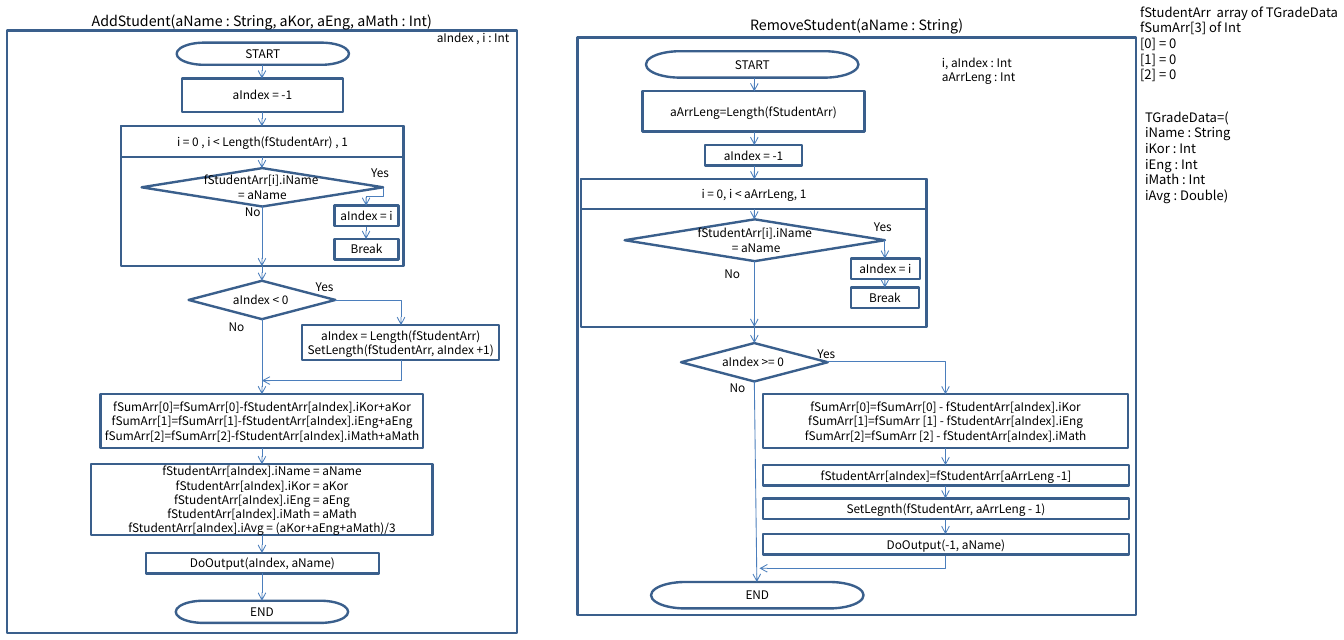
import pptx
import pptx.util
import pptx.dml.color
import pptx.enum.shapes
import pptx.enum.text
import pptx.oxml
import pptx.oxml.ns

Inches = pptx.util.Inches
Preset = pptx.enum.shapes.MSO_SHAPE
COLORS = {"outline": "3A5F8C", "arrow": "4B7EBC", "text": "000000"}
FONT = "Noto Sans CJK KR"
ADD_AXIS = 3.07
REMOVE_AXIS = 8.84
UPDATE_AXIS = 11.08


def color(name):
    """Return a named colour as RGBColor."""
    return pptx.dml.color.RGBColor.from_string(COLORS[name])


def write(shape, text, size, centred, margins=(0, 0)):
    """Fill a shape with one paragraph per line of text."""
    frame = shape.text_frame
    frame.margin_left = frame.margin_right = Inches(margins[0])
    frame.margin_top = frame.margin_bottom = Inches(margins[1])
    frame.word_wrap = True
    frame.text = text
    alignment = pptx.enum.text.PP_ALIGN
    for paragraph in frame.paragraphs:
        paragraph.alignment = alignment.CENTER if centred else alignment.LEFT
        paragraph.font.name = FONT
        paragraph.font.size = pptx.util.Pt(size)
        paragraph.font.color.rgb = color("text")
    if centred:
        frame.vertical_anchor = pptx.enum.text.MSO_ANCHOR.MIDDLE


def add_node(slide, box, text="", preset=Preset.RECTANGLE):
    """Add an outlined flowchart node with centred text."""
    shape = slide.shapes.add_shape(preset, *map(Inches, box))
    shape.shadow.inherit = False
    shape.fill.background()
    shape.line.color.rgb = color("outline")
    shape.line.width = pptx.util.Pt(2)
    if text:
        write(shape, text, 10, True)


def add_text(slide, box, text, size=10, centred=False, margins=(0, 0)):
    """Add a plain text box."""
    shape = slide.shapes.add_textbox(*map(Inches, box))
    write(shape, text, size, centred, margins)


def add_arrow(slide, start, end):
    """Add a thin connector with an open arrowhead at its end."""
    connector = slide.shapes.add_connector(
        pptx.enum.shapes.MSO_CONNECTOR.STRAIGHT, *map(Inches, start + end))
    connector.line.color.rgb = color("arrow")
    connector.line.width = pptx.util.Pt(0.75)
    qn = pptx.oxml.ns.qn
    properties = connector._element.spPr
    line = properties.find(qn("a:ln"))
    line.append(line.makeelement(qn("a:tailEnd"), {"type": "arrow"}))
    properties.append(properties.makeelement(qn("a:effectLst"), {}))
    return connector


def add_elbow(slide, start, end, preset="bentConnector2", downward=False):
    """Add a bent arrow going right first, or down first and then left."""
    if downward:
        middle_x, middle_y = (start[0] + end[0]) / 2, (start[1] + end[1]) / 2
        half_x, half_y = (end[1] - start[1]) / 2, (start[0] - end[0]) / 2
        start = (middle_x - half_x, middle_y - half_y)
        end = (middle_x + half_x, middle_y + half_y)
    properties = add_arrow(slide, start, end)._element.spPr
    properties.find(pptx.oxml.ns.qn("a:prstGeom")).set("prst", preset)
    if downward:
        properties.find(pptx.oxml.ns.qn("a:xfrm")).set("rot", "5400000")


def add_loop(slide, box, header_height, text):
    """Add a loop frame with its header row."""
    left, top, width, _ = box
    add_node(slide, box)
    add_node(slide, (left, top, width, header_height), text)


def add_chain(slide, axis, spans):
    """Add vertical arrows along one axis."""
    for top, bottom in spans:
        add_arrow(slide, (axis, top), (axis, bottom))


def add_labels(slide, labels):
    """Add small branch labels."""
    for left, top, text in labels:
        add_text(slide, (left, top, 0.3, 0.17), text)


def draw_add_student(slide):
    """Draw the AddStudent flowchart."""
    add_node(slide, (0.08, 0.36, 5.98, 7.06))
    add_text(slide, (0.08, 0.13, 5.98, 0.22),
             "AddStudent(aName : String, aKor, aEng, aMath : Int)", 12, True)
    add_text(slide, (5.12, 0.36, 0.94, 0.17), "aIndex , i : Int")
    add_node(slide, (2.07, 0.5, 2.02, 0.26), "START", Preset.FLOWCHART_TERMINATOR)
    add_loop(slide, (1.42, 1.48, 3.31, 1.64), 0.36, "i = 0 , i < Length(fStudentArr) , 1")
    for box, text in (
            ((1.66, 1.97, 2.83, 0.45), "fStudentArr[i].iName \n= aName"),
            ((2.21, 3.29, 1.72, 0.45), "aIndex < 0 ")):
        add_node(slide, box, text, Preset.FLOWCHART_DECISION)
    for box, text in (
            ((2.13, 0.92, 1.89, 0.39), "aIndex = -1"),
            ((3.92, 2.41, 0.75, 0.24), "aIndex = i"),
            ((3.92, 2.8, 0.75, 0.24), "Break"),
            ((3.54, 3.81, 2.31, 0.41),
             "aIndex = Length(fStudentArr)\nSetLength(fStudentArr, aIndex +1)"),
            ((1.18, 4.62, 3.78, 0.63),
             "fSumArr[0]=fSumArr[0]-fStudentArr[aIndex].iKor+aKor\n"
             "fSumArr[1]=fSumArr[1]-fStudentArr[aIndex].iEng+aEng\n"
             "fSumArr[2]=fSumArr[2]-fStudentArr[aIndex].iMath+aMath"),
            ((1.07, 5.44, 4, 0.83),
             "fStudentArr[aIndex].iName = aName\n"
             "fStudentArr[aIndex].iKor = aKor\n"
             "fStudentArr[aIndex].iEng = aEng\n"
             "fStudentArr[aIndex].iMath = aMath\n"
             "fStudentArr[aIndex].iAvg = (aKor+aEng+aMath)/3"),
            ((1.71, 6.48, 2.73, 0.24), "DoOutput(aIndex, aName)")):
        add_node(slide, box, text)
    add_node(slide, (2.06, 7.04, 2.02, 0.26), "END", Preset.FLOWCHART_TERMINATOR)
    add_labels(slide, (
        (4.35, 1.94, "Yes"), (2.87, 2.4, "No"), (3.7, 3.28, "Yes"), (2.68, 3.75, "No")))
    add_chain(slide, ADD_AXIS, (
        (0.76, 0.92), (1.31, 1.48), (1.84, 1.97), (2.42, 3.12), (3.12, 3.29),
        (3.74, 4.62), (5.25, 5.44), (6.27, 6.48), (6.72, 7.04)))
    add_chain(slide, 4.29, ((2.66, 2.8),))
    add_elbow(slide, (4.49, 2.2), (4.29, 2.41), "bentConnector3", downward=True)
    add_elbow(slide, (3.93, 3.52), (4.7, 3.81))
    add_elbow(slide, (4.7, 4.22), (ADD_AXIS, 4.46), downward=True)


def draw_remove_student(slide):
    """Draw the RemoveStudent flowchart."""
    add_node(slide, (6.77, 0.44, 6.54, 6.77))
    add_text(slide, (6.77, 0.13, 6.54, 0.31), "RemoveStudent(aName : String)", 12, True)
    add_node(slide, (7.57, 0.6, 2.49, 0.31), "START", Preset.FLOWCHART_TERMINATOR)
    add_loop(slide, (6.81, 2.1, 4.05, 1.73), 0.35, "i = 0, i < aArrLeng, 1")
    for box, text in (
            ((7.32, 2.57, 3.05, 0.49), "fStudentArr[i].iName\n = aName"),
            ((7.98, 4.02, 1.72, 0.45), "aIndex >= 0 ")):
        add_node(slide, box, text, Preset.FLOWCHART_DECISION)
    for box, text in (
            ((7.53, 1.07, 2.6, 0.47), "aArrLeng=Length(fStudentArr)"),
            ((8.26, 1.7, 1.14, 0.24), "aIndex = -1"),
            ((9.97, 3.03, 0.81, 0.24), "aIndex = i"),
            ((9.97, 3.37, 0.8, 0.24), "Break"),
            ((8.94, 4.62, 4.28, 0.63),
             "fSumArr[0]=fSumArr[0] - fStudentArr[aIndex].iKor\n"
             "fSumArr[1]=fSumArr [1] - fStudentArr[aIndex].iEng\n"
             "fSumArr[2]=fSumArr [2] - fStudentArr[aIndex].iMath"),
            ((8.94, 5.45, 4.29, 0.24), "fStudentArr[aIndex]=fStudentArr[aArrLeng -1]"),
            ((8.94, 5.84, 4.29, 0.24), "SetLegnth(fStudentArr, aArrLeng - 1)"),
            ((8.94, 6.26, 4.29, 0.24), "DoOutput(-1, aName)")):
        add_node(slide, box, text)
    add_node(slide, (7.63, 6.82, 2.49, 0.31), "END", Preset.FLOWCHART_TERMINATOR)
    add_text(slide, (10.94, 0.6, 1.2, 0.44), "i, aIndex : Int\naArrLeng : Int",
             margins=(0.1, 0.05))
    add_labels(slide, (
        (10.24, 2.57, "Yes"), (8.49, 3.12, "No"), (9.58, 4.06, "Yes"), (8.55, 4.46, "No")))
    add_chain(slide, REMOVE_AXIS, (
        (0.92, 1.07), (1.55, 1.7), (1.95, 2.1), (2.45, 2.57), (3.06, 3.83), (3.83, 4.02)))
    add_chain(slide, 10.37, ((2.81, 3.03), (3.28, 3.37)))
    add_chain(slide, UPDATE_AXIS, ((5.25, 5.45), (5.7, 5.84), (6.09, 6.26)))
    add_arrow(slide, (REMOVE_AXIS, 4.47), (8.87, 6.82))
    add_elbow(slide, (9.69, 4.23), (UPDATE_AXIS, 4.62))
    add_elbow(slide, (UPDATE_AXIS, 6.51), (8.9, 6.66), downward=True)


def main():
    """Build the slide with both flowcharts and the data declarations."""
    presentation = pptx.Presentation()
    presentation.slide_width = Inches(15.75)
    presentation.slide_height = Inches(7.5)
    slide = presentation.slides.add_slide(presentation.slide_layouts[6])
    draw_add_student(slide)
    draw_remove_student(slide)
    add_text(slide, (13.36, 0, 2.39, 1.03),
             "fStudentArr  array of TGradeData\nfSumArr[3] of Int\n[0] = 0\n[1] = 0\n[2] = 0",
             11, margins=(0, 0.05))
    add_text(slide, (13.32, 1.23, 1.4, 1.21),
             "TGradeData=(\niName : String\niKor : Int\niEng : Int\niMath : Int\niAvg : Double)",
             11, margins=(0.1, 0.05))
    presentation.save("out.pptx")


main()
